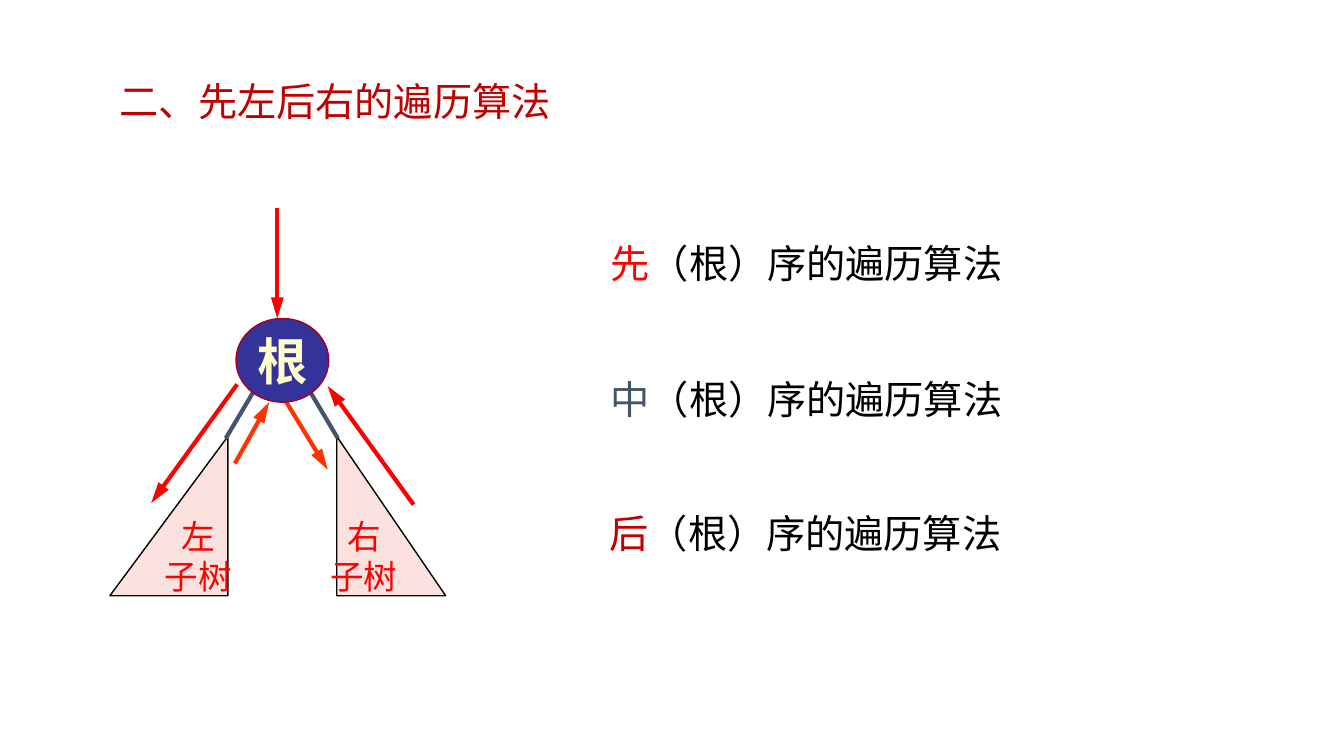
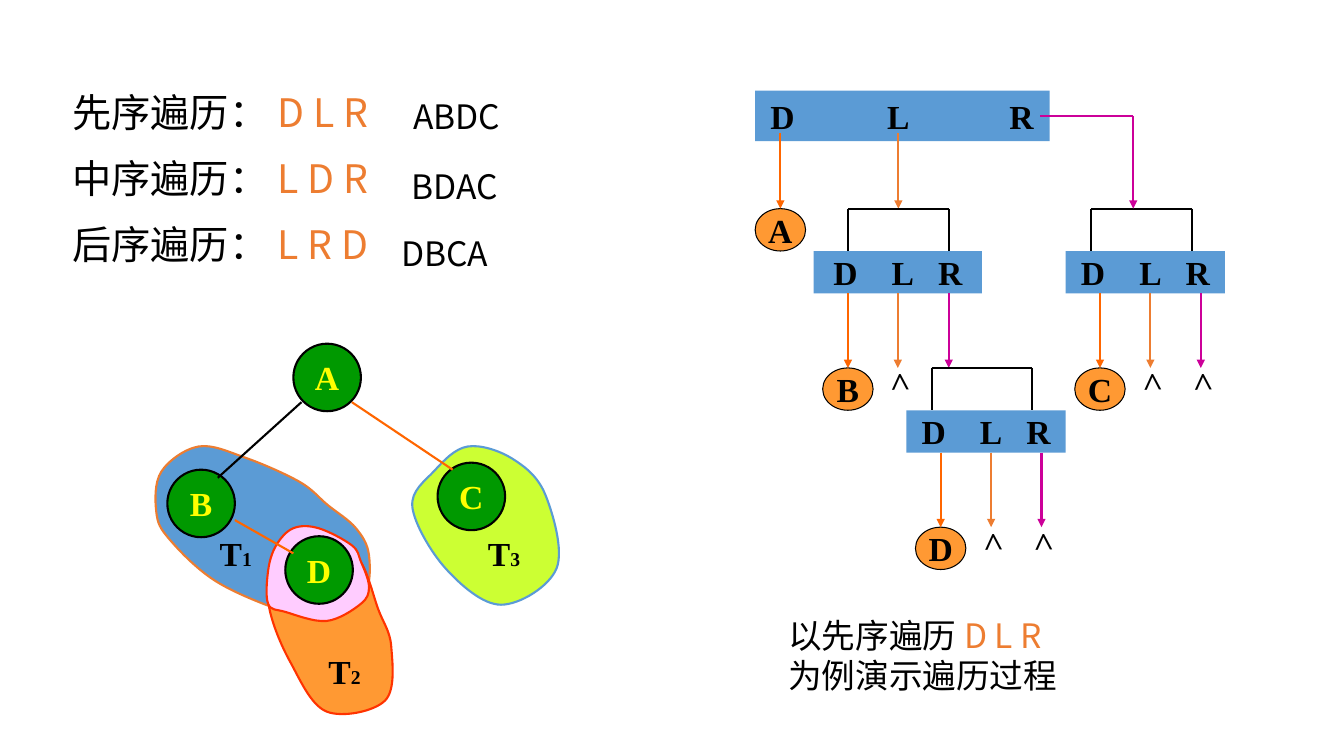
from pptx import Presentation
from pptx.dml.color import RGBColor
from pptx.enum.shapes import MSO_CONNECTOR as CONNECTOR, MSO_SHAPE as SHAPE
from pptx.enum.text import MSO_ANCHOR as ANCHOR, PP_ALIGN as ALIGN
from pptx.oxml.ns import qn
from pptx.util import Inches, Pt
from lxml.etree import SubElement

HAN, ROMAN = "Noto Sans CJK SC", "Times New Roman"
BLACK, RED, DARK_RED, SLATE = "000000", "FF0000", "C00000", "44546A"
BLUE, ORANGE, AMBER, PINK = "5B9BD5", "ED7D31", "FF9933", "FFCCFF"
VERMILION, D_ARROW, R_ARROW = "FF3300", "FF6600", "CC0099"
TOP, BOTTOM = 0, 2


def color(value):
    """Turn a hex string into a colour."""
    return RGBColor.from_string(value)


def write(frame, lines, size, font=HAN, bold=False, align=ALIGN.LEFT, gap=0):
    """Fill a text frame with lines of (text, colour[, size]) runs."""
    for index, line in enumerate(lines):
        paragraph = frame.paragraphs[0] if index == 0 else frame.add_paragraph()
        paragraph.alignment = align
        if font == HAN:
            paragraph.line_spacing = Pt(size * 1.2)
        if index and gap:
            paragraph.space_before = Pt(gap)
        for text, ink, *own_size in line:
            run = paragraph.add_run()
            run.text = text
            run.font.size = Pt(own_size[0] if own_size else size)
            run.font.name = font
            run.font.bold = bold
            run.font.color.rgb = color(ink)
            SubElement(run.font._element, qn("a:ea")).set("typeface", font)


def label(slide, box, lines, size, wrap=True, **style):
    """Add a text box."""
    text_box = slide.shapes.add_textbox(*map(Inches, box))
    text_box.text_frame.word_wrap = wrap
    write(text_box.text_frame, lines, size, **style)
    return text_box


def paint(shape, fill, line=None, weight=1):
    """Give a shape its fill and outline."""
    shape.shadow.inherit = False
    shape.fill.solid()
    shape.fill.fore_color.rgb = color(fill)
    if line:
        shape.line.color.rgb = color(line)
        shape.line.width = Pt(weight)
    else:
        shape.line.fill.background()


def node(slide, kind, box, fill, line, weight, lines, size, **style):
    """Add a preset shape with centred text."""
    shape = slide.shapes.add_shape(kind, *map(Inches, box))
    paint(shape, fill, line, weight)
    shape.text_frame.word_wrap = False
    shape.text_frame.vertical_anchor = ANCHOR.MIDDLE
    write(shape.text_frame, lines, size, align=ALIGN.CENTER, **style)
    return shape


def link(slide, start, end, ink, weight=1.5, arrow=False):
    """Draw a straight line, with an arrowhead at its end if asked."""
    line = slide.shapes.add_connector(CONNECTOR.STRAIGHT, *map(Inches, (*start, *end)))
    line.line.color.rgb = color(ink)
    line.line.width = Pt(weight)
    outline = line.line._get_or_add_ln()
    if weight == 3:
        outline.set("cap", "sq")
    if arrow:
        head = SubElement(outline, qn("a:tailEnd"))
        head.set("type", "triangle")
        head.set("len", "lg" if weight == 3 else "med")
    SubElement(line._element.spPr, qn("a:effectLst"))
    return line


def blob(slide, points, fill, line):
    """Draw a smooth closed outline through the points."""
    points = [(Inches(x), Inches(y)) for x, y in points]
    builder = slide.shapes.build_freeform(*points[0])
    builder.add_line_segments(points[1:] + points[:1], close=True)
    shape = builder.convert_to_shape()
    count = len(points)
    segments = list(shape._element.iter(qn("a:lnTo")))
    for i, segment in enumerate(segments):
        before, start, end, after = (points[(i + k) % count] for k in (-1, 0, 1, 2))
        leave = [q + (r - p) / 6 for p, q, r in zip(before, start, end)]
        arrive = [r - (s - q) / 6 for q, r, s in zip(start, end, after)]
        segment.clear()
        curve = SubElement(segment.getparent(), qn("a:cubicBezTo"))
        for x, y in (leave, arrive, end):
            point = SubElement(curve, qn("a:pt"))
            point.set("x", str(round(x - shape.left)))
            point.set("y", str(round(y - shape.top)))
        segment.getparent().replace(segment, curve)
    paint(shape, fill, line, 1.5)


def bar(slide, box, offsets):
    """Add a blue bar with D, L and R at offsets from its middle."""
    shape = slide.shapes.add_shape(SHAPE.RECTANGLE, *map(Inches, box))
    paint(shape, BLUE)
    frame = shape.text_frame
    frame.margin_left = frame.margin_right = 0
    frame.word_wrap = True
    frame.vertical_anchor = ANCHOR.MIDDLE
    tabs = SubElement(frame.paragraphs[0]._p.get_or_add_pPr(), qn("a:tabLst"))
    for offset in offsets:
        tab = SubElement(tabs, qn("a:tab"))
        tab.set("pos", str(Inches(box[2] / 2 + offset)))
        tab.set("algn", "ctr")
    write(frame, [[("\tD\tL\tR", BLACK)]], 24, ROMAN, True)
    return shape


def visit(slide, x, start, end, letter):
    """Draw the D arrow down to the circle of the visited node."""
    circle = node(slide, SHAPE.OVAL, (x - 0.25, end, 0.5, 0.42), AMBER, BLACK, 0.75,
                  [[(letter, BLACK)]], 24, font=ROMAN, bold=True)
    link(slide, (x, start), (x, end), D_ARROW, arrow=True).end_connect(circle, TOP)


def call_frame(slide, left, top, width, inset, letter, right_empty=True):
    """Draw one recursive call: bracket, D L R bar and its three outcomes."""
    roof, first, last = top - 0.42, left + inset, left + inset + 1
    link(slide, (first, roof), (last, roof), BLACK)
    for x in (first, last):
        link(slide, (x, roof), (x, top), BLACK)
    box = bar(slide, (left, top, width, 0.42), (-0.52, 0.05, 0.52))
    floor, end, middle = top + 0.42, top + 1.16, left + width / 2
    d_x, l_x, r_x = (left + 0.34 + 0.5 * i for i in range(3))
    visit(slide, d_x, floor, end, letter)
    centred = abs(l_x - middle) < 0.01
    l_x = middle if centred else l_x
    left_call = link(slide, (l_x, floor), (l_x, end), ORANGE, arrow=True)
    if centred:
        left_call.begin_connect(box, BOTTOM)
    link(slide, (r_x, floor), (r_x, end), R_ARROW, arrow=True)
    for x in (l_x, r_x) if right_empty else (l_x,):
        caret = label(slide, (x - 0.21, top + 1.04, 0.42, 0.5), [[(">", BLACK)]],
                      24, font=ROMAN, bold=True)
        caret.rotation = 268.3


def root_diagram(slide, left, top):
    """Draw the root with its two subtrees and the path around them."""
    def at(x, y):
        return left + x, top + y

    link(slide, at(1.66, 0), at(1.66, 1.08), RED, 3, True)
    link(slide, at(1.25, 1.75), at(0.41, 2.91), RED, 3, True)
    link(slide, at(3, 2.91), at(2.16, 1.75), RED, 3, True)
    for side, x, width, apex in (("左", 0, 1.17, 1), ("右", 2.25, 1.08, 0)):
        subtree = node(slide, SHAPE.ISOSCELES_TRIANGLE, (*at(x, 2.25), width, 1.58),
                       "FBE2DF", BLACK, 1, [[(side, RED)], [("子树", RED)]], 24)
        subtree.adjustments[0] = apex
    link(slide, at(1.41, 1.83), at(1.16, 2.25), SLATE, 3)
    link(slide, at(2, 1.83), at(2.25, 2.25), SLATE, 3)
    link(slide, at(1.25, 2.5), at(1.58, 1.91), VERMILION, 3, True)
    link(slide, at(1.75, 1.91), at(2.16, 2.58), VERMILION, 3, True)
    node(slide, SHAPE.OVAL, (*at(1.25, 1.08), 0.92, 0.83), "333399", "A50021", 1,
         [[("根", "FFFFCC")]], 36, bold=True)


def tree(slide, left, top):
    """Draw the sample tree with its subtrees T1, T2 and T3."""
    def place(points):
        return [(left + x, top + y) for x, y in points]

    def circle(letter, x, y):
        node(slide, SHAPE.OVAL, (left + x, top + y, 0.67, 0.67), "009900", BLACK, 1.5,
             [[(letter, "FFFF00")]], 24, font=ROMAN, bold=True)

    t1 = [(1.03, 1.14), (0.57, 1.03), (0.2, 1.28), (0.15, 1.68), (0.28, 1.95), (0.73, 2.36),
          (1.37, 2.65), (1.84, 2.76), (2.21, 2.51), (2.26, 2.11), (2.13, 1.84), (1.85, 1.61),
          (1.57, 1.38)]
    t2 = [(1.92, 1.97), (1.54, 1.9), (1.29, 2.2), (1.27, 2.63), (1.48, 3.17), (1.84, 3.66),
          (2.42, 3.55), (2.48, 3.01), (2.35, 2.64), (2.18, 2.18)]
    d_area = [(2.18, 2.17), (2.26, 2.42), (2.18, 2.59), (1.84, 2.76), (1.43, 2.67),
              (1.26, 2.59), (1.26, 2.26), (1.34, 2.01), (1.51, 1.84), (1.76, 1.84), (2.09, 2.01)]
    t3 = [(2.91, 1.27), (3.24, 1.03), (3.68, 1.15), (4.01, 1.51), (4.12, 2.24), (3.57, 2.6),
          (3.02, 2.24), (2.69, 1.63)]
    for points, fill, line in ((t1, BLUE, ORANGE), (t2, AMBER, VERMILION),
                               (d_area, PINK, VERMILION), (t3, "CCFF33", BLUE)):
        blob(slide, place(points), fill, line)
    for letter, x, y in (("A", 1.51, 0.01), ("D", 1.43, 1.92), ("B", 0.26, 1.26), ("C", 2.94, 1.19)):
        circle(letter, x, y)
    for ends, ink in ((((1.59, 0.59), (0.76, 1.34)), BLACK),
                      (((2.09, 0.59), (3.09, 1.26)), D_ARROW),
                      (((0.93, 1.76), (1.51, 2.09)), D_ARROW)):
        link(slide, *place(ends), ink)
    for number, x, y, width in (("1", 0.68, 1.84, 0.58), ("2", 1.76, 3.01, 0.67),
                                ("3", 3.34, 1.84, 0.58)):
        label(slide, (left + x, top + y, width, 0.5), [[("T", BLACK), (number, BLACK, 14)]],
              24, font=ROMAN, bold=True)


def call_diagram(slide, left, top):
    """Draw the chain of calls made by the preorder traversal."""
    bar(slide, (left, top, 2.92, 0.5), (-1.19, -0.04, 1.18))
    visit(slide, left + 0.25, top + 0.42, top + 1.17, "A")
    link(slide, (left + 1.42, top + 0.42), (left + 1.42, top + 1.17), ORANGE, arrow=True)
    call_frame(slide, left + 0.58, top + 1.59, 1.67, 0.34, "B", right_empty=False)
    call_frame(slide, left + 1.5, top + 3.17, 1.58, 0.25, "D")
    turn = left + 3.75, top + 0.25
    link(slide, (left + 2.83, top + 0.25), turn, R_ARROW)
    call_frame(slide, left + 3.08, top + 1.59, 1.58, 0.25, "C")
    link(slide, turn, (left + 3.75, top + 1.17), R_ARROW, arrow=True)


def algorithms_slide(slide):
    """Build the slide that names the three traversals."""
    label(slide, (1.09, 0.72, 4.52, 0.57), [[("二、先左后右的遍历算法", DARK_RED)]], 28, wrap=False)
    for order, ink, x, y in (("先", RED, 5.96, 2.33), ("中", SLATE, 5.96, 3.67),
                             ("后", DARK_RED, 5.95, 5)):
        label(slide, (x, y, 4.13, 0.57),
              [[(order, ink), ("（根）序的遍历算法", BLACK)]], 28, wrap=False)
    root_diagram(slide, 1.09, 2.08)


def example_slide(slide):
    """Build the slide that walks through the sample tree."""
    orders = (("先", "D L R"), ("中", "L D R"), ("后", "L R D"))
    label(slide, (0.62, 0.83, 3.62, 1.99),
          [[(f"{order}序遍历：", BLACK), (steps, ORANGE)] for order, steps in orders], 28, gap=13.5)
    tree(slide, 1.4, 3.4)
    call_diagram(slide, 7.49, 0.9)
    label(slide, (7.72, 6.05, 3, 0.91),
          [[("以先序遍历", BLACK), ("D L R", ORANGE), ("为例演示遍历过程", BLACK)]], 24)
    for result, x, y, width in (("ABDC", 4, 0.9, 1.83), ("BDAC", 3.98, 1.6, 1.5),
                                ("DBCA", 3.88, 2.26, 1.5)):
        label(slide, (x, y, width, 0.5), [[(result, BLACK)]], 24)


def main():
    """Build and save the presentation."""
    deck = Presentation()
    deck.slide_width, deck.slide_height = Inches(13.33), Inches(7.5)
    for build in (algorithms_slide, example_slide):
        build(deck.slides.add_slide(deck.slide_layouts[6]))
    deck.save("out.pptx")


if __name__ == "__main__":
    main()
